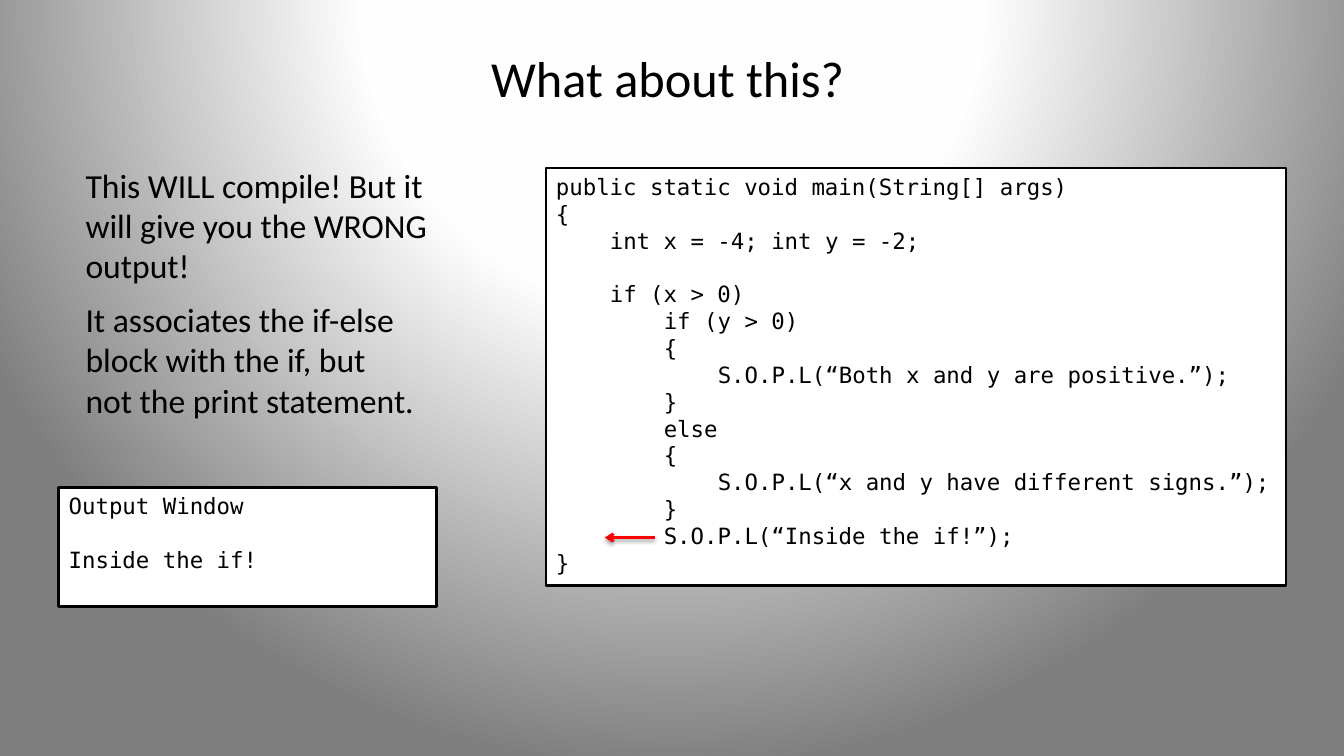
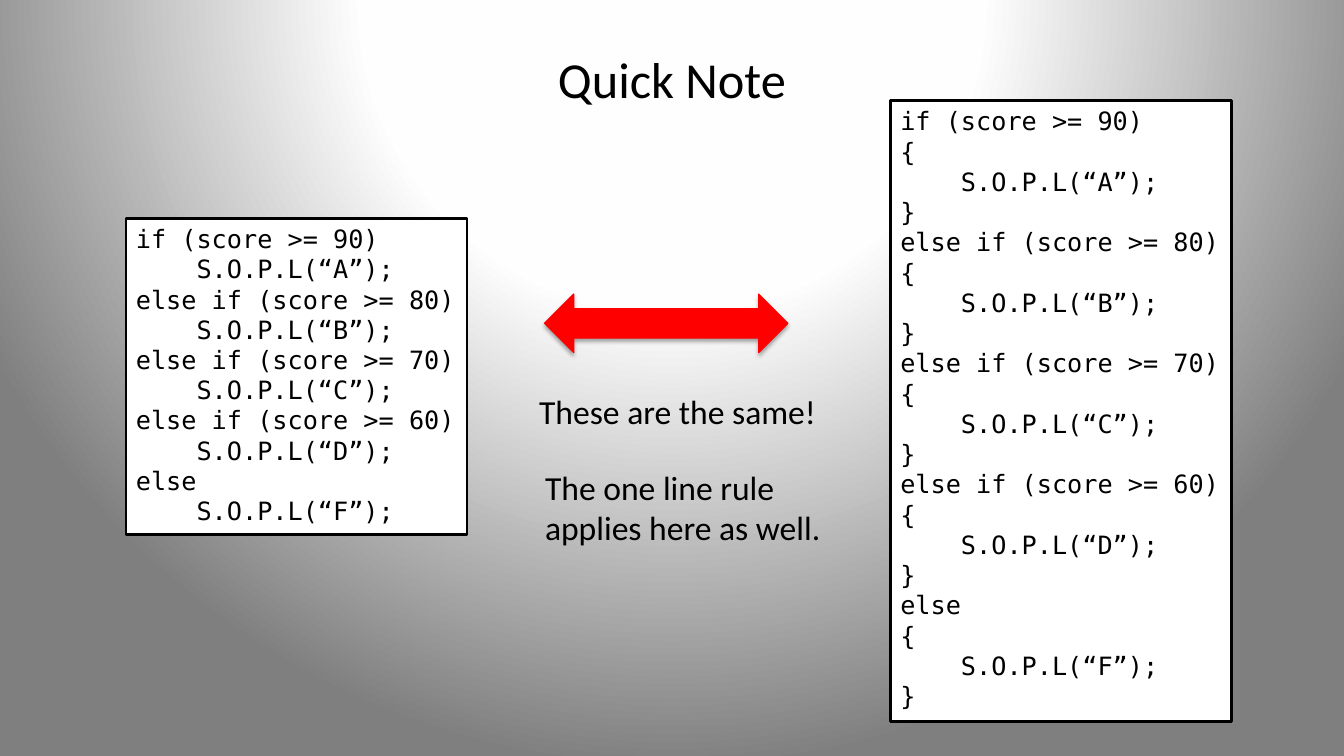
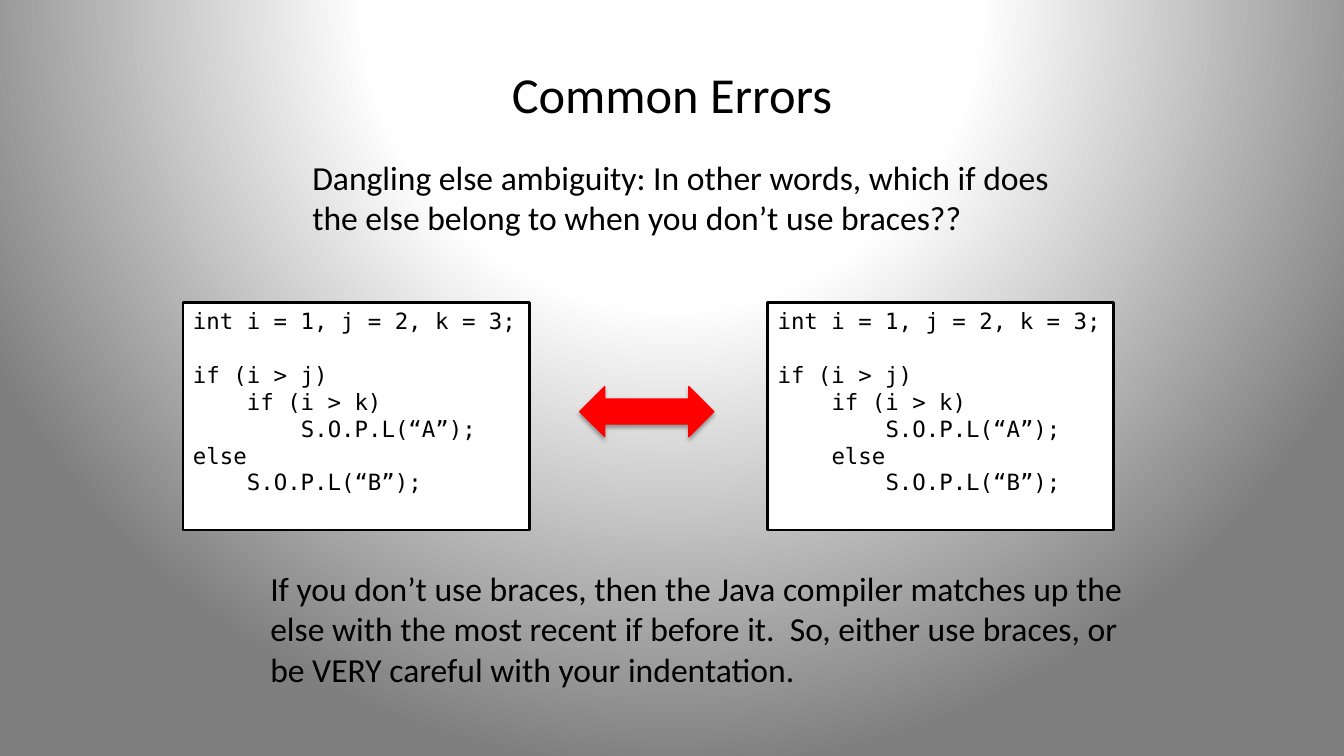
from pptx import Presentation, oxml
from pptx import util as u
from pptx.dml.color import RGBColor
from pptx.enum import shapes, text
from pptx.oxml import ns

BLACK, WHITE, RED = "000000", "FFFFFF", "FF0000"
BODY, MONO = "Calibri", "DejaVu Sans Mono"
COLS, ROWS = 160, 90  # grid of the 13.33 x 7.5 inch slide
LEADING = 1.2         # line height per point of text size
CHAR = 0.602          # width of a monospaced character per point

BACKGROUND = f"""<p:bg {ns.nsdecls('p', 'a')}><p:bgPr><a:gradFill rotWithShape="1"><a:gsLst>
<a:gs pos="0"><a:srgbClr val="FFFFFF"/></a:gs><a:gs pos="40000"><a:srgbClr val="FEFEFE"/></a:gs>
<a:gs pos="100000"><a:srgbClr val="7F7F7F"/></a:gs></a:gsLst><a:path path="circle">
<a:fillToRect l="50000" t="-80000" r="50000" b="180000"/></a:path></a:gradFill><a:effectLst/>
</p:bgPr></p:bg>"""


def color(value):
    return RGBColor.from_string(value)


def apply(target, values):
    for name, value in values.items():
        setattr(target, name, value)


class Deck:
    def __init__(self):
        self.prs = Presentation()
        apply(self.prs, {"slide_width": u.Inches(13.33), "slide_height": u.Inches(7.5)})
        self.col = self.prs.slide_width / COLS
        self.row = self.prs.slide_height / ROWS
        # The gradient background belongs to the master
        c_sld = self.prs.slide_master.element.cSld
        for bg in c_sld.findall(ns.qn("p:bg")):
            c_sld.remove(bg)
        c_sld.insert(0, oxml.parse_xml(BACKGROUND))

    def place(self, x, y, w, h):
        return [u.Emu(round(n * step)) for n, step in
                zip((x, y, w, h), (self.col, self.row) * 2)]

    def format(self, p, font, size, align=text.PP_ALIGN.LEFT):
        p.alignment = align
        apply(p.font, {"name": font, "size": u.Pt(size)})
        p.font.color.rgb = color(BLACK)

    def slide(self, title, *at):
        self.s = self.prs.slides.add_slide(self.prs.slide_layouts[5])
        sp = self.s.shapes.title
        apply(sp, dict(zip(("left", "top", "width", "height"), self.place(*at))))
        tf = sp.text_frame
        tf.text = title
        tf.vertical_anchor = text.MSO_ANCHOR.MIDDLE
        self.format(tf.paragraphs[0], BODY, 36, text.PP_ALIGN.CENTER)

    def note(self, lines, *at):
        tf = self.s.shapes.add_textbox(*self.place(*at)).text_frame
        tf.word_wrap = True
        p = tf.paragraphs[0]
        p.text = "\v".join(lines)
        p.line_spacing = u.Pt(24 * LEADING)
        self.format(p, BODY, 24)

    def shape(self, kind, at, fill, line, width):
        sp = self.s.shapes.add_shape(kind, *self.place(*at))
        sp.fill.solid()
        sp.fill.fore_color.rgb = color(fill)
        self.line(sp, line, width)
        return sp

    def line(self, sp, value, width):
        sp.line.color.rgb = color(value)
        sp.line.width = u.Pt(width)

    def code(self, lines, size, *at):
        """Leading spaces become indents; empty lines become space before."""
        sp = self.shape(shapes.MSO_SHAPE.RECTANGLE, at, WHITE, BLACK, 2)
        sp.shadow.inherit = False
        tf = sp.text_frame
        apply(tf, {"word_wrap": True, "vertical_anchor": text.MSO_ANCHOR.TOP})
        p, gap = tf.paragraphs[0], 0
        for line in lines:
            if not line:
                gap += size * LEADING
                continue
            if p.text:
                p = tf.add_paragraph()
            p.text = line.lstrip()
            self.format(p, MONO, size)
            apply(p, {"line_spacing": u.Pt(size * LEADING), "space_before": u.Pt(gap)})
            indent = (len(line) - len(p.text)) * CHAR * size
            p._p.get_or_add_pPr().set("marL", str(u.Pt(indent)))
            gap = 0

    def shadow(self, sp, opacity, distance):
        sp._element.spPr.append(oxml.parse_xml(
            f'<a:effectLst {ns.nsdecls("a")}><a:outerShdw blurRad="{u.Pt(3.1)}" '
            f'dist="{u.Pt(distance)}" dir="5400000" rotWithShape="0"><a:srgbClr val="{BLACK}">'
            f'<a:alpha val="{opacity * 1000}"/></a:srgbClr></a:outerShdw></a:effectLst>'))

    def double_arrow(self, *at):
        sp = self.shape(shapes.MSO_SHAPE.LEFT_RIGHT_ARROW, at, RED, RED, 0.75)
        self.shadow(sp, 35, 1.8)

    def arrow(self, *ends):
        sp = self.s.shapes.add_connector(shapes.MSO_CONNECTOR.STRAIGHT, *self.place(*ends))
        self.line(sp, RED, 2)
        sp.line._get_or_add_ln().append(
            oxml.parse_xml(f'<a:tailEnd {ns.nsdecls("a")} type="arrow"/>'))
        self.shadow(sp, 38, 1.6)


def grade_chain(braces):
    lines = []
    for grade, score in zip("ABCDF", (90, 80, 70, 60, None)):
        test = f"if (score >= {score})" if score else ""
        lines.append(("else " if grade != "A" else "") + test)
        body = [f"    S.O.P.L(“{grade}”);"]
        lines += ["{", *body, "}"] if braces else body
    return [line.rstrip() for line in lines]


def dangling_else(indent):
    return ["int i = 1, j = 2, k = 3;", "", "if (i > j)", "    if (i > k)",
            "        S.O.P.L(“A”);", indent + "else", indent + "    S.O.P.L(“B”);"]


MAIN = """public static void main(String[] args)
{
    int x = -4; int y = -2;

    if (x > 0)
        if (y > 0)
        {
            S.O.P.L(“Both x and y are positive.”);
        }
        else
        {
            S.O.P.L(“x and y have different signs.”);
        }
        S.O.P.L(“Inside the if!”);
}""".split("\n")

deck = Deck()

# Wrong output
deck.slide("What about this?", 7, 3, 145, 12.4)
deck.code(MAIN, 16, 65, 20, 88.1, 49.7)
deck.note(["This WILL compile! But it", "will give you the WRONG", "output!"], 9, 19, 43.6, 15.7)
deck.note(["It associates the if-else", "block with the if, but", "not the print statement."],
          9, 35, 42.1, 15.7)
deck.code(["Output Window", "", "Inside the if!"], 16, 7, 58, 45, 14.2)
deck.arrow(78, 64, 72, 64)

# One line rule
deck.slide("Quick Note", 8, 3.6, 144, 11.4)
deck.code(grade_chain(braces=False), 18, 15, 26, 40.6, 37.6)
deck.code(grade_chain(braces=True), 18, 106, 12, 40.6, 73.9)
deck.double_arrow(64.8, 35, 29, 7)
deck.note(["These are the same!"], 63, 46, 35.8, 6)
deck.note(["The one line rule", "applies here as well."], 63.7, 55, 35.6, 10.9)

# Dangling else
deck.slide("Common Errors", 8, 3.6, 144, 15)
deck.note(["Dangling else ambiguity: In other words, which if does",
           "the else belong to when you don’t use braces??"], 36, 18.1, 91.1, 10.9)
for x, indent in ((21.8, ""), (91.4, "    ")):
    deck.code(dangling_else(indent), 16, x, 36, 41.2, 27.1)
deck.double_arrow(69, 46, 16, 6)
deck.note(["If you don’t use braces, then the Java compiler matches up the",
           "else with the most recent if before it.  So, either use braces, or",
           "be VERY careful with your indentation."], 31, 67, 105.2, 15.7)

deck.prs.save("out.pptx")
